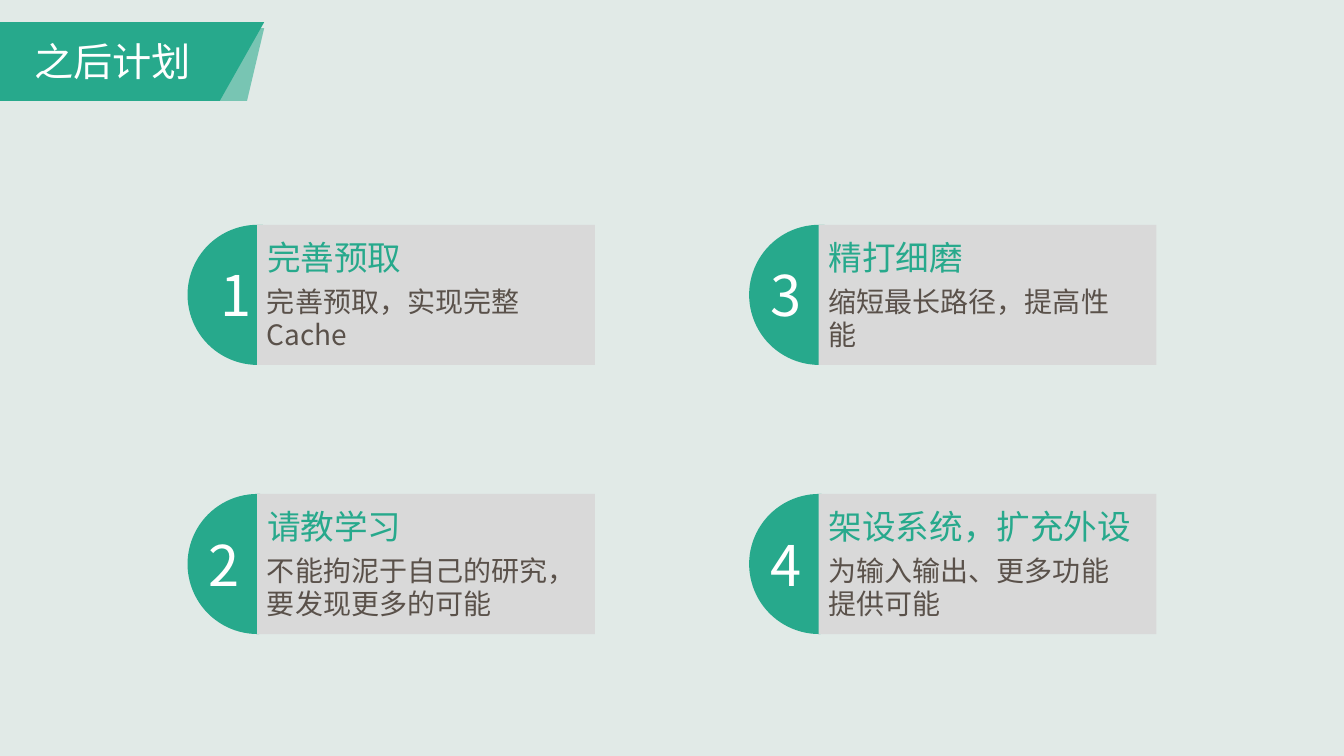
import pptx
import pptx.dml.color
import pptx.enum.shapes
import pptx.enum.text
import pptx.oxml.ns
import pptx.util
import lxml.etree

Inches = pptx.util.Inches
FONT = "Noto Sans CJK JP"
GREEN, WHITE, PANEL, BROWN = "27A98C", "FFFFFF", "D9D9D9", "5A514A"
DIAMETER = 1.39
PLANS = [
    ("1", "完善预取", "完善预取，实现完整Cache"),
    ("2", "请教学习", "不能拘泥于自己的研究，要发现更多的可能"),
    ("3", "精打细磨", "缩短最长路径，提高性能"),
    ("4", "架设系统，扩充外设", "为输入输出、更多功能提供可能"),
]


def paint(fill, color):
    fill.solid()
    fill.fore_color.rgb = pptx.dml.color.RGBColor.from_string(color)


def add_text(slide, text, left, top, width, height, size, color, align="LEFT"):
    label = slide.shapes.add_textbox(
        Inches(left), Inches(top), Inches(width), Inches(height))
    label.text_frame.word_wrap = True
    paragraph = label.text_frame.paragraphs[0]
    paragraph.alignment = getattr(pptx.enum.text.PP_ALIGN, align)
    run = paragraph.add_run()
    run.text = text
    run.font.size = pptx.util.Pt(size)
    run.font.name = FONT
    run.font.color.rgb = pptx.dml.color.RGBColor.from_string(color)
    east_asian = lxml.etree.SubElement(
        run.font._element, pptx.oxml.ns.qn("a:ea"))
    east_asian.set("typeface", FONT)


def finish(shape, color):
    shape.shadow.inherit = False
    paint(shape.fill, color)
    shape.line.fill.background()


def add_preset(slide, kind, left, top, width, height, color):
    shape = slide.shapes.add_shape(
        kind, Inches(left), Inches(top), Inches(width), Inches(height))
    finish(shape, color)


def add_ribbon(slide, left, top, width, bottom_width, height, color):
    builder = slide.shapes.build_freeform(
        Inches(left), Inches(top), scale=1.0)
    builder.add_line_segments([
        (Inches(left + width), Inches(top)),
        (Inches(left + bottom_width), Inches(top + height)),
        (Inches(left), Inches(top + height)),
    ], close=True)
    ribbon = builder.convert_to_shape()
    finish(ribbon, color)
    return ribbon


def add_header(slide, left, top, width, height):
    fold = add_ribbon(slide, left, top + 0.06, width, width - 0.17,
                      height - 0.06, GREEN)
    fold_color = fold._element.spPr.find(".//" + pptx.oxml.ns.qn("a:srgbClr"))
    alpha = lxml.etree.SubElement(fold_color, pptx.oxml.ns.qn("a:alpha"))
    alpha.set("val", "56000")
    add_ribbon(slide, left, top, width, width - 0.44, height, GREEN)
    add_text(slide, "之后计划", left - 0.02, top + 0.1, 2.27, 0.57,
             size=28, color=WHITE, align="CENTER")


def add_plan(slide, left, top, number, heading, detail):
    shapes = pptx.enum.shapes.MSO_SHAPE
    panel_left = left + 0.69
    number_left = left + (0.23 if number == "1" else 0.11)
    add_preset(slide, shapes.OVAL, left, top, DIAMETER, DIAMETER, GREEN)
    add_preset(slide, shapes.RECTANGLE, panel_left, top, 3.35, DIAMETER, PANEL)
    add_text(slide, number, number_left, top + 0.31, 0.52, 0.77,
             size=40, color=WHITE)
    add_text(slide, heading, panel_left, top + 0.07, 3.35, 0.5,
             size=24, color=GREEN)
    add_text(slide, detail, panel_left, top + 0.54, 3.13, 0.77,
             size=20, color=BROWN)


def main():
    deck = pptx.Presentation()
    deck.slide_width, deck.slide_height = Inches(13.33), Inches(7.5)
    slide = deck.slides.add_slide(deck.slide_layouts[6])
    paint(slide.background.fill, "E1EAE7")
    add_header(slide, 0, 0.22, 2.62, 0.78)
    for index, plan in enumerate(PLANS):
        column, row = divmod(index, 2)
        add_plan(slide, 1.86 + column * 5.57, 2.23 + row * 2.67, *plan)
    deck.save("out.pptx")


if __name__ == "__main__":
    main()
